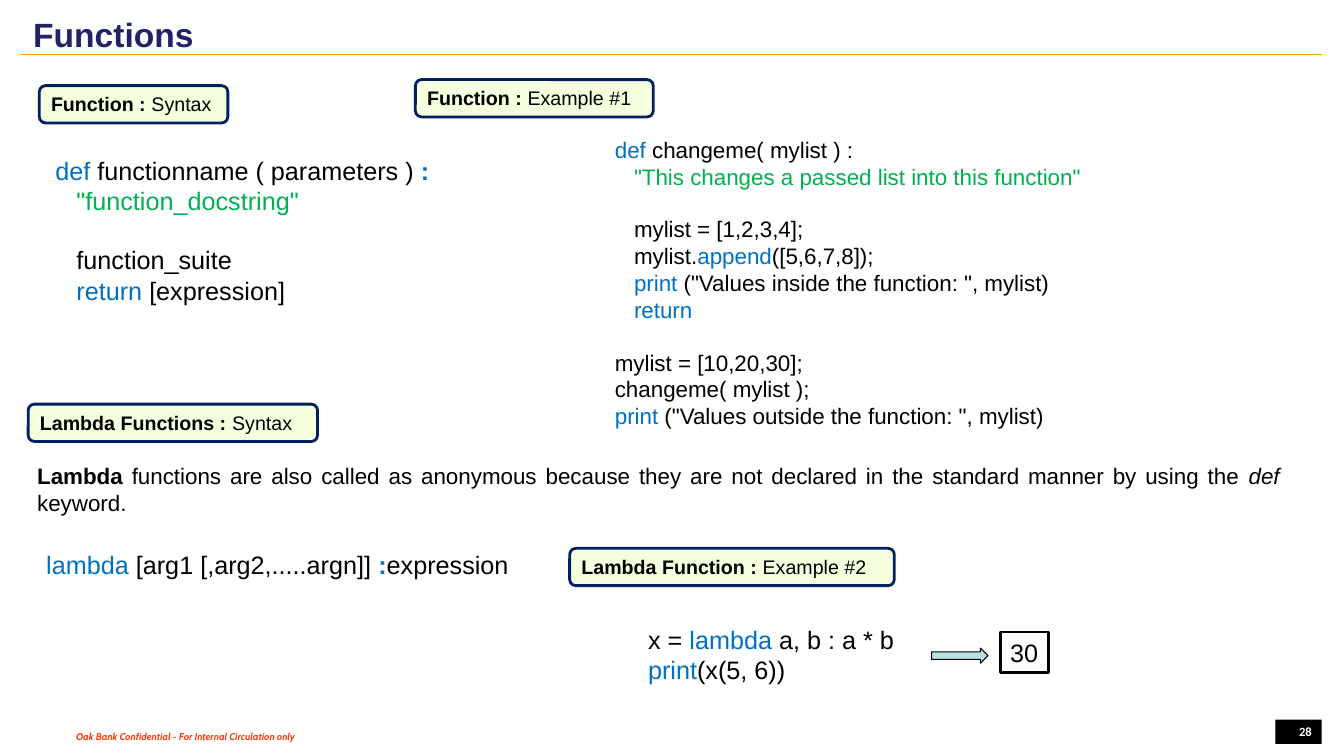
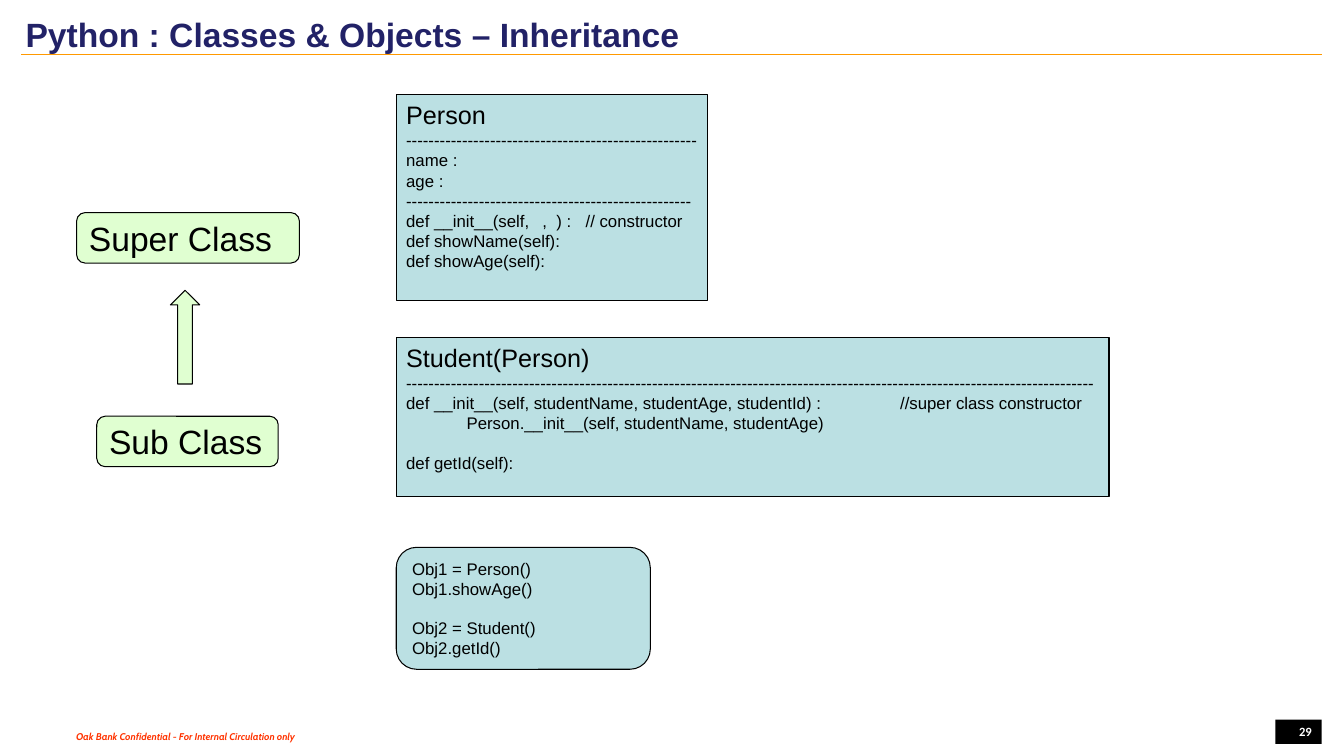
import dataclasses

import lxml.etree
import pptx
import pptx.dml.color
import pptx.enum.shapes
import pptx.enum.text
import pptx.oxml.ns
import pptx.util

Inches = pptx.util.Inches
Pt = pptx.util.Pt
RGBColor = pptx.dml.color.RGBColor
Preset = pptx.enum.shapes.MSO_SHAPE
Align = pptx.enum.text.PP_ALIGN
Anchor = pptx.enum.text.MSO_ANCHOR

BLACK = RGBColor(0x00, 0x00, 0x00)
WHITE = RGBColor(0xFF, 0xFF, 0xFF)
TITLE_NAVY = RGBColor(0x22, 0x22, 0x67)
ORANGE = RGBColor(0xFF, 0x99, 0x00)
FOOTER_RED = RGBColor(0xFF, 0x33, 0x00)
KEYWORD_BLUE = RGBColor(0x00, 0x70, 0xC0)
STRING_GREEN = RGBColor(0x00, 0xB0, 0x50)
LABEL_FILL = RGBColor(0xF5, 0xFF, 0xDD)
LABEL_NAVY = RGBColor(0x00, 0x20, 0x60)
TEAL = RGBColor(0xBB, 0xE0, 0xE3)
MINT = RGBColor(0xE0, 0xFF, 0xD1)

BOLD = {"bold": True}
ITALIC = {"italic": True}
KEYWORD = {"color": KEYWORD_BLUE}
COLON = {"color": KEYWORD_BLUE, "bold": True}
DOCSTRING = {"color": STRING_GREEN}
HEADING = {"size": 18}

LINE_HEIGHT = 1.15
FOOTER = "Oak Bank Confidential - For Internal Circulation only"


@dataclasses.dataclass
class Line:
    runs: list
    indent: float = 0
    blank_above: bool = False
    tabs: tuple = ()


def set_tabs(paragraph, stops):
    properties = paragraph._p.get_or_add_pPr()
    tab_list = lxml.etree.SubElement(properties, pptx.oxml.ns.qn("a:tabLst"))
    for stop in stops:
        tab = lxml.etree.SubElement(tab_list, pptx.oxml.ns.qn("a:tab"))
        tab.set("pos", str(Inches(stop)))
        tab.set("algn", "l")


def write(shape, lines, size=18, color=BLACK, font="Arial", bold=False,
          italic=False, align=Align.LEFT, anchor=Anchor.TOP, wrap=True):
    frame = shape.text_frame
    frame.word_wrap = wrap
    frame.vertical_anchor = anchor
    base = {"size": size, "color": color, "bold": bold, "italic": italic}
    for index, line in enumerate(lines):
        if not isinstance(line, Line):
            line = Line([line])
        paragraph = frame.paragraphs[0] if index == 0 else frame.add_paragraph()
        paragraph.alignment = align
        if line.indent:
            paragraph._p.get_or_add_pPr().set("marL", str(Inches(line.indent)))
        if line.blank_above:
            paragraph.space_before = Pt(size * LINE_HEIGHT)
        if line.tabs:
            set_tabs(paragraph, line.tabs)
        for part in line.runs:
            text, changes = (part, {}) if isinstance(part, str) else part
            style = base | changes
            run = paragraph.add_run()
            run.text = text
            run.font.name = font
            run.font.size = Pt(style["size"])
            run.font.bold = style["bold"]
            run.font.italic = style["italic"]
            run.font.color.rgb = style["color"]


def add_text(slide, box, lines, **text_format):
    text_box = slide.shapes.add_textbox(*map(Inches, box))
    write(text_box, lines, **text_format)


def add_block(slide, preset, box, fill, lines=(), outline=BLACK, weight=0.75,
              **text_format):
    block = slide.shapes.add_shape(preset, *map(Inches, box))
    block.shadow.inherit = False
    block.fill.solid()
    block.fill.fore_color.rgb = fill
    if outline is None:
        block.line.fill.background()
    else:
        block.line.color.rgb = outline
        block.line.width = Pt(weight)
    write(block, lines, **text_format)


def add_rule(slide, left, right, y):
    rule = slide.shapes.add_connector(
        pptx.enum.shapes.MSO_CONNECTOR.STRAIGHT,
        Inches(left), Inches(y), Inches(right), Inches(y))
    rule.line.color.rgb = ORANGE
    rule.line.width = Pt(1)
    lxml.etree.SubElement(rule._element.spPr, pptx.oxml.ns.qn("a:effectLst"))


def add_label(slide, left, top, width, subject, kind):
    add_block(slide, Preset.ROUNDED_RECTANGLE, (left, top, width, 0.37),
              LABEL_FILL, [Line([(f"{subject} : ", BOLD), kind])],
              outline=LABEL_NAVY, weight=2, size=14)


def start_slide(deck, title, title_left, title_width, number):
    slide = deck.slides.add_slide(deck.slide_layouts[6])
    add_block(slide, Preset.RECTANGLE, (12.65, 7.14, 0.46, 0.24), BLACK,
              [str(number)], outline=None, size=9, color=WHITE,
              font="Calibri", bold=True, align=Align.RIGHT,
              anchor=Anchor.MIDDLE)
    add_rule(slide, 0.21, 13.11, 0.54)
    add_text(slide, (0.48, 7.2, 2.72, 0.22), [FOOTER], size=7,
             color=FOOTER_RED, font="Cabin", bold=True, italic=True,
             align=Align.CENTER, wrap=False)
    add_text(slide, (title_left, 0.09, title_width, 0.5), [title], size=24,
             color=TITLE_NAVY, bold=True, align=Align.CENTER,
             anchor=Anchor.MIDDLE, wrap=False)
    return slide


def build_functions(deck):
    slide = start_slide(deck, "Functions", 0.22, 1.81, 28)

    add_label(slide, 0.39, 0.85, 1.87, "Function", "Syntax")
    add_text(slide, (0.45, 1.49, 4.17, 1.62), [
        Line([("def ", KEYWORD), "functionname ( parameters ) ", (":", COLON)]),
        Line([('"function_docstring"', DOCSTRING)], indent=0.21),
        Line(["function_suite"], indent=0.21, blank_above=True),
        Line([("return", KEYWORD), " [expression]"], indent=0.21),
    ])

    add_label(slide, 4.12, 0.79, 2.36, "Function", "Example #1")
    body = 0.19
    add_text(slide, (6, 1.3, 5.53, 3.06), [
        Line([("def ", KEYWORD), "changeme( mylist ) :"]),
        Line([('"This changes a passed list into this function"', DOCSTRING)],
             indent=body),
        Line(["mylist = [1,2,3,4];"], indent=body, blank_above=True),
        Line(["mylist.", ("append", KEYWORD), "([5,6,7,8]);"], indent=body),
        Line([("print", KEYWORD), ' ("Values inside the function: ", mylist)'],
             indent=body),
        Line([("return", KEYWORD)], indent=body),
        Line(["mylist = [10,20,30];"], blank_above=True),
        "changeme( mylist );",
        Line([("print", KEYWORD), ' ("Values outside the function: ", mylist)']),
    ], size=16)

    add_label(slide, 0.28, 4.01, 2.87, "Lambda Functions", "Syntax")
    add_text(slide, (0.27, 4.54, 12.52, 0.64), [
        Line([("Lambda", BOLD),
              " functions are also called as anonymous because they are not "
              "declared in the standard manner by using the ",
              ("def", ITALIC), " keyword."]),
    ], size=16, align=Align.JUSTIFY)
    add_text(slide, (0.36, 5.4, 4.82, 0.4), [
        Line([("lambda", KEYWORD), " [arg1 [,arg2,.....argn]] ", (":", COLON),
              "expression"]),
    ], wrap=False)

    add_label(slide, 5.65, 5.44, 3.22, "Lambda Function", "Example #2")
    add_text(slide, (6.33, 6.14, 2.66, 0.71), [
        Line(["x = ", ("lambda", KEYWORD), " a, b : a * b"]),
        Line([("print", KEYWORD), "(x(5, 6))"]),
    ], wrap=False)
    add_block(slide, Preset.RIGHT_ARROW, (9.24, 6.43, 0.56, 0.15), TEAL)
    add_block(slide, Preset.RECTANGLE, (9.92, 6.27, 0.48, 0.4), WHITE, ["30"],
              weight=2, wrap=False)


def build_inheritance(deck):
    slide = start_slide(deck, "Python : Classes & Objects – Inheritance",
                        0.12, 6.75, 29)

    for role, left, top, width in (("Super Class", 0.76, 2.11, 2.21),
                                   ("Sub Class", 0.96, 4.13, 1.8)):
        add_block(slide, Preset.ROUNDED_RECTANGLE, (left, top, width, 0.5),
                  MINT, [role], size=24, anchor=Anchor.MIDDLE)
    add_block(slide, Preset.UP_ARROW, (1.69, 2.88, 0.29, 0.93), MINT)

    code_left = 3.93
    add_block(slide, Preset.RECTANGLE, (code_left, 0.94, 3.09, 2.04), TEAL, [
        Line([("Person", HEADING)]),
        "-" * 52,
        "name :",
        "age :",
        "-" * 51,
        Line(["def __init__(self,\t,\t) :\t// constructor"],
             tabs=(1.35, 1.49, 1.78)),
        "def showName(self):",
        "def showAge(self):",
    ], size=12)
    add_block(slide, Preset.RECTANGLE, (code_left, 3.35, 7.07, 1.58), TEAL, [
        Line([("Student(Person)", HEADING)]),
        "-" * 123,
        Line(["def __init__(self, studentName, studentAge, studentId) :"
              "\t//super class constructor"], tabs=(4.9,)),
        Line(["Person.__init__(self, studentName, studentAge)"], indent=0.6),
        Line(["def getId(self):"], blank_above=True),
    ], size=12)
    add_block(slide, Preset.ROUNDED_RECTANGLE, (code_left, 5.43, 2.52, 1.21),
              TEAL, [
        "Obj1 = Person()",
        "Obj1.showAge()",
        Line(["Obj2 = Student()"], blank_above=True),
        "Obj2.getId()",
    ], size=12)


def main():
    deck = pptx.Presentation()
    deck.slide_width = Inches(13.33)
    deck.slide_height = Inches(7.5)
    build_functions(deck)
    build_inheritance(deck)
    deck.save("out.pptx")


if __name__ == "__main__":
    main()
